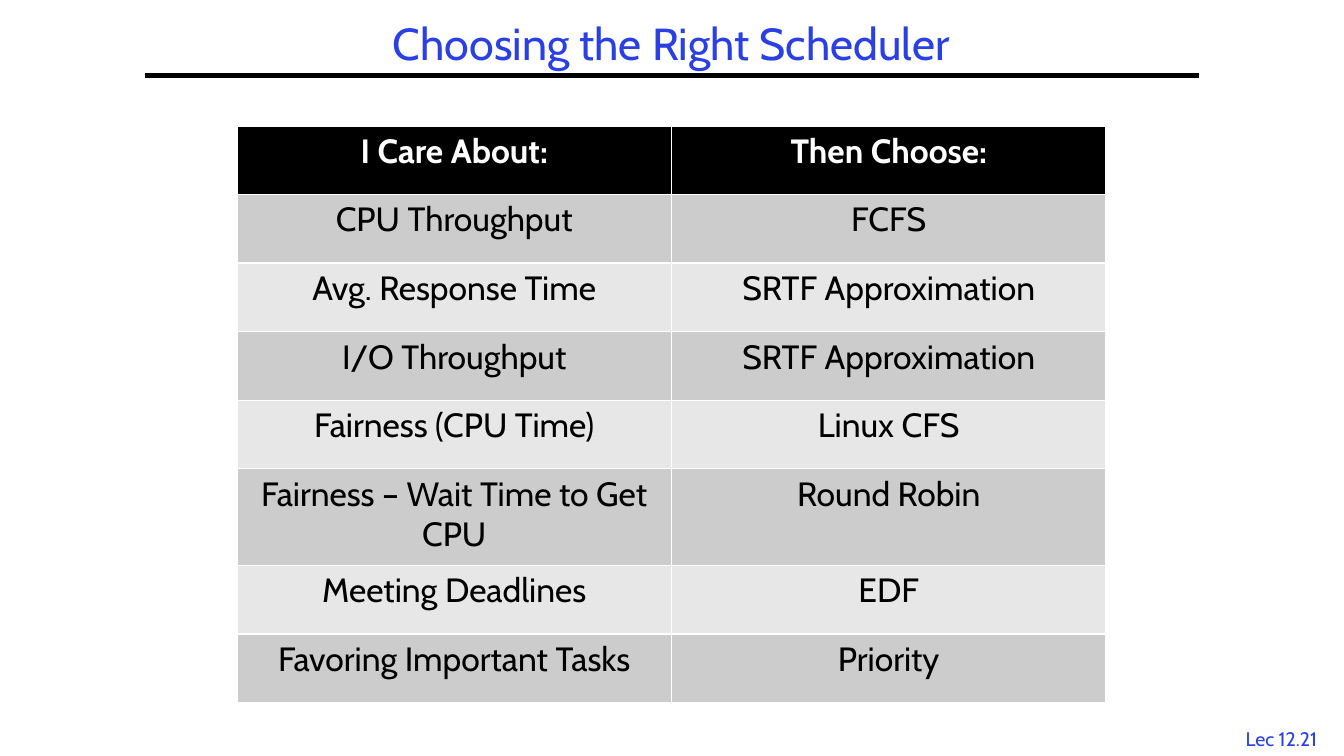
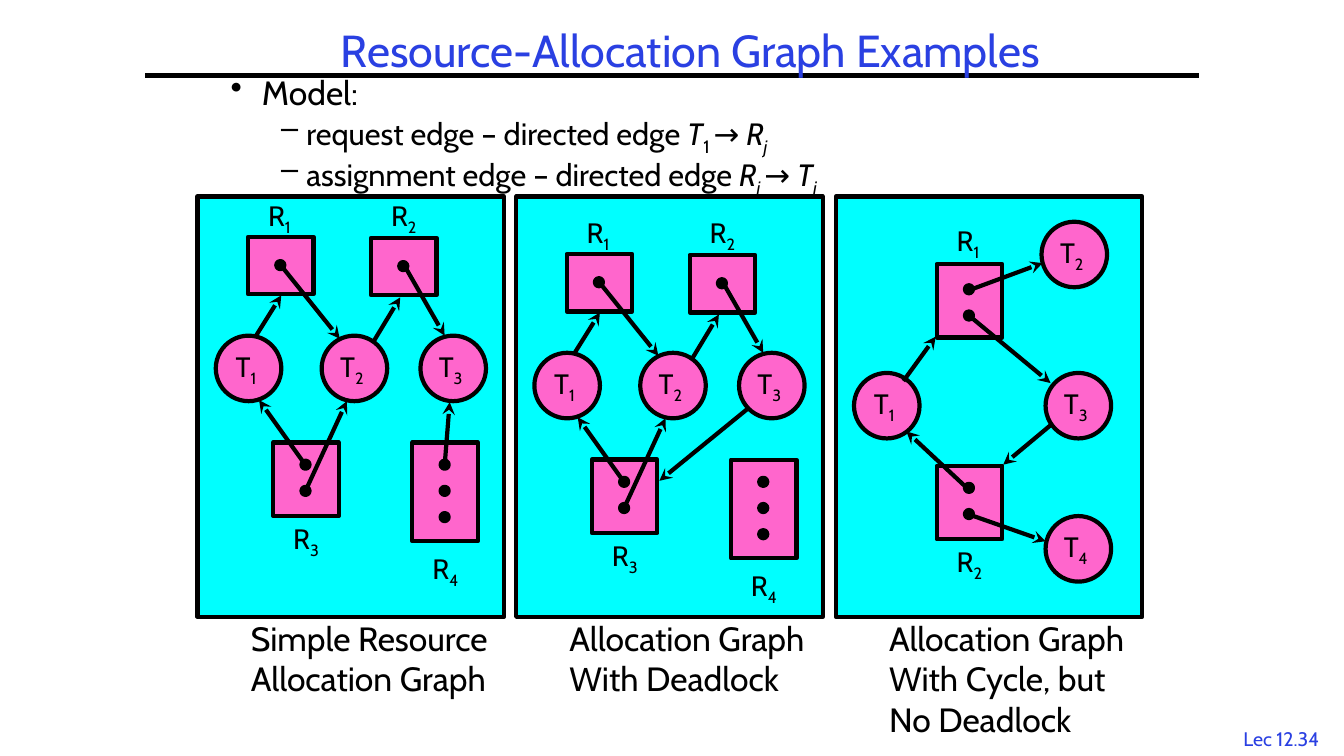
from lxml.etree import SubElement
from pptx import Presentation
from pptx.dml.color import RGBColor
from pptx.enum.shapes import MSO_CONNECTOR, MSO_SHAPE
from pptx.enum.text import MSO_ANCHOR, MSO_AUTO_SIZE, PP_ALIGN
from pptx.oxml.ns import qn
from pptx.util import Pt

PX = 9144  # 100 px to the inch
FONT = "Cabin"
COLORS = {name: RGBColor.from_string(value) for name, value in {
    "blue": "2A40E2", "black": "000000", "white": "FFFFFF", "cyan": "00FFFF",
    "pink": "FF66CC", "dark band": "CCCCCC", "light band": "E7E7E7"}.items()}


def write(para, spans, size, color="black", align=PP_ALIGN.LEFT):
    """Fill a paragraph with (text, marks) spans; marks: i italic, s subscript, b bold."""
    para.alignment = align
    for text, marks in spans:
        span = para.add_run()
        span.text = text
        span.font.name = FONT
        span.font.size = Pt(size)
        span.font.color.rgb = COLORS[color]
        span.font.italic = "i" in marks
        span.font.bold = "b" in marks
        if "s" in marks:
            span.font._element.set("baseline", "-25000")


def draw_line(page, start, end, arrow=False):
    line = page.shapes.add_connector(
        MSO_CONNECTOR.STRAIGHT, *(value * PX for value in (*start, *end)))
    line.line.color.rgb = COLORS["black"]
    line.line.width = Pt(3)
    if arrow:
        SubElement(line.line._get_or_add_ln(), qn("a:tailEnd"), type="stealth")
    SubElement(line.element.spPr, qn("a:effectLst"))
    return line


deck = Presentation()
deck.slide_width, deck.slide_height = 1333 * PX, 750 * PX
title_only = deck.slide_layouts[5]

# Titles and footers
pages = []
for heading, place, number in [
    ("Choosing the Right Scheduler", (144, 17, 1044, 58), "Lec 12.21"),
    ("Resource-Allocation Graph Examples", (233, 25, 904, 56), "Lec 12.34"),
]:
    page = deck.slides.add_slide(title_only)
    pages.append(page)
    title = page.shapes.title
    title.left, title.top, title.width, title.height = (value * PX for value in place)
    frame = title.text_frame
    frame.auto_size = MSO_AUTO_SIZE.NONE
    frame.vertical_anchor = MSO_ANCHOR.MIDDLE
    frame.paragraphs[0].line_spacing = 0.9
    write(frame.paragraphs[0], [(heading, "")], 32, "blue", PP_ALIGN.CENTER)
    footer = page.shapes.add_textbox(1217 * PX, 716 * PX, 108 * PX, 33 * PX)
    footer.text_frame.word_wrap = True
    write(footer.text_frame.paragraphs[0], [(number, "")], 14, "blue", PP_ALIGN.CENTER)

# The rule below the title belongs to the layout
rule = draw_line(pages[0], (144, 75), (1189, 75))
rule.element.nvCxnSpPr.cNvPr.id = 20
title_only.shapes.element.append(rule.element)

# Scheduler table
choices = [
    ("I Care About:", "Then Choose:"),
    ("CPU Throughput", "FCFS"),
    ("Avg. Response Time", "SRTF Approximation"),
    ("I/O Throughput", "SRTF Approximation"),
    ("Fairness (CPU Time)", "Linux CFS"),
    ("Fairness – Wait Time to Get CPU", "Round Robin"),
    ("Meeting Deadlines", "EDF"),
    ("Favoring Important Tasks", "Priority"),
]
table = pages[0].shapes.add_table(
    len(choices), 2, 235 * PX, 125 * PX, 862 * PX, 572 * PX).table
for row, texts in enumerate(choices):
    table.rows[row].height = (96 if row == 5 else 68) * PX
    fill = "black" if row == 0 else "dark band" if row % 2 else "light band"
    for column, text in enumerate(texts):
        cell = table.cell(row, column)
        write(cell.text_frame.paragraphs[0], [(text, "" if row else "b")], 24,
              "black" if row else "white", PP_ALIGN.CENTER)
        properties = cell._tc.get_or_add_tcPr()
        for side in ("lnL", "lnR", "lnT", "lnB"):
            border = SubElement(properties, qn(f"a:{side}"), w=str(Pt(1)))
            SubElement(SubElement(border, qn("a:solidFill")), qn("a:srgbClr"),
                       val=str(COLORS["white"]))
        cell.fill.solid()
        cell.fill.fore_color.rgb = COLORS[fill]

# Graph panels: all places count from the panel's corner
PANEL_TOP = 195
BOX_HEIGHTS = {1: 57, 2: 73, 3: 98}  # by number of dots
# Threads: name, left, top
three_threads = [("1", 18, 138), ("2", 123, 138), ("3", 221, 138)]
# Resources: name, left, top, dots, first dot's drop, label's drop
four_resources = [("1", 50, 40, 1, 24, -43), ("2", 172, 41, 1, 24, -44),
                  ("3", 75, 244, 2, 18, 73), ("4", 213, 244, 3, 18, 103)]
common_edges = [((58, 138), (83, 98)), ((84, 70), (141, 141)),
                ((175, 143), (201, 100)), ((206, 70), (245, 138)),
                ((106, 265), (61, 202)), ((107, 292), (148, 203))]
cycle_edges = [((67, 183), (99, 139)), ((131, 290), (70, 233)),
               ((131, 315), (208, 342)), ((214, 226), (166, 266)),
               ((132, 118), (213, 185)), ((132, 93), (205, 66))]
panels = [
    (196, 0, three_threads, four_resources, common_edges + [((245, 267), (250, 204))],
     ["Simple Resource", "Allocation Graph"]),
    (512, 17, three_threads, four_resources, common_edges + [((229, 194), (142, 265))],
     ["Allocation Graph", "With Deadlock"]),
    (829, 0, [("1", 18, 175), ("2", 204, 25), ("3", 208, 175), ("4", 208, 317)],
     [("1", 100, 67, 2, 21, -45), ("2", 100, 267, 2, 18, 73)], cycle_edges,
     ["Allocation Graph", "With Cycle, but", "No Deadlock"]),
]
page = pages[1]
for left, drop, threads, resources, edges, caption in panels:
    top = PANEL_TOP + drop
    outlines = [(MSO_SHAPE.RECTANGLE, "cyan", left, PANEL_TOP, 304, 417, "")]
    labels = [(left + 43, 608, 277, [[(line, "")] for line in caption], 24)]
    for name, x, y in threads:
        outlines.append((MSO_SHAPE.OVAL, "pink", left + x, top + y, 65, 65, name))
    for name, x, y, dots, dot_drop, label_drop in resources:
        outlines.append((MSO_SHAPE.RECTANGLE, "pink", left + x, top + y,
                         65, BOX_HEIGHTS[dots], ""))
        for dot in range(dots):
            outlines.append((MSO_SHAPE.OVAL, "black", left + x + 28,
                             top + y + dot_drop + 26 * dot, 8, 8, ""))
        labels.append((left + x + 10, top + y + label_drop, 51,
                       [[("R", ""), (name, "s")]], 20))

    for kind, fill, x, y, width, height, name in outlines:
        shape = page.shapes.add_shape(kind, x * PX, y * PX, width * PX, height * PX)
        shape.shadow.inherit = False
        shape.fill.solid()
        shape.fill.fore_color.rgb = COLORS[fill]
        shape.line.color.rgb = COLORS["black"]
        shape.line.width = Pt(3)
        if name:
            frame = shape.text_frame
            frame.word_wrap = False
            frame.vertical_anchor = MSO_ANCHOR.MIDDLE
            frame.margin_left, frame.margin_right = 0, 5 * PX
            write(frame.paragraphs[0], [("T", ""), (name, "s")], 20,
                  align=PP_ALIGN.CENTER)
    for x, y, width, lines, size in labels:
        box = page.shapes.add_textbox(x * PX, y * PX, width * PX, 44 * len(lines) * PX)
        frame = box.text_frame
        frame.word_wrap = True
        for index, spans in enumerate(lines):
            para = frame.add_paragraph() if index else frame.paragraphs[0]
            write(para, spans, size)
    for start, end in edges:
        draw_line(page, *((left + x, top + y) for x, y in (start, end)), arrow=True)

# Model description
model = [
    (24, "•", 31, 31, [("Model:", "")]),
    (22, "–", 75, 25, [("request edge – directed edge ", ""), ("T", "i"), ("1 ", "s"),
                       ("→ ", ""), ("R", "i"), ("j", "is")]),
    (22, "–", 75, 25, [("assignment edge – directed edge ", ""), ("R", "i"),
                       ("j ", "is"), ("→ ", ""), ("T", "i"), ("i", "is")]),
]
frame = page.shapes.add_textbox(219 * PX, 74 * PX, 875 * PX, 142 * PX).text_frame
frame.word_wrap = True
for index, (size, bullet, margin, hanging, spans) in enumerate(model):
    para = frame.add_paragraph() if index else frame.paragraphs[0]
    properties = para._p.get_or_add_pPr()
    properties.set("marL", str(margin * PX))
    properties.set("indent", str(-hanging * PX))
    SubElement(properties, qn("a:buChar"), char=bullet)
    para.level = 1 if index else 0
    para.line_spacing = 0.8
    if index:
        para.space_before = Pt(5)
    write(para, spans, size)

deck.save("out.pptx")
